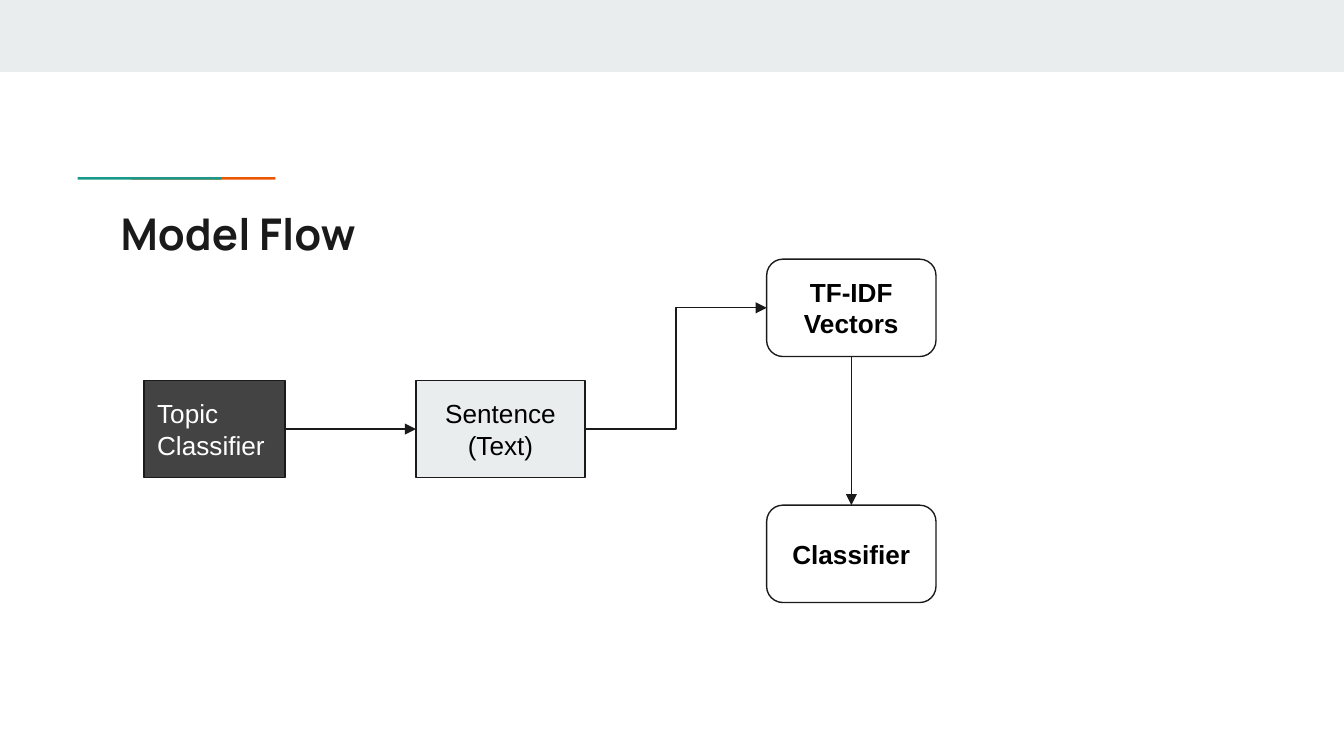
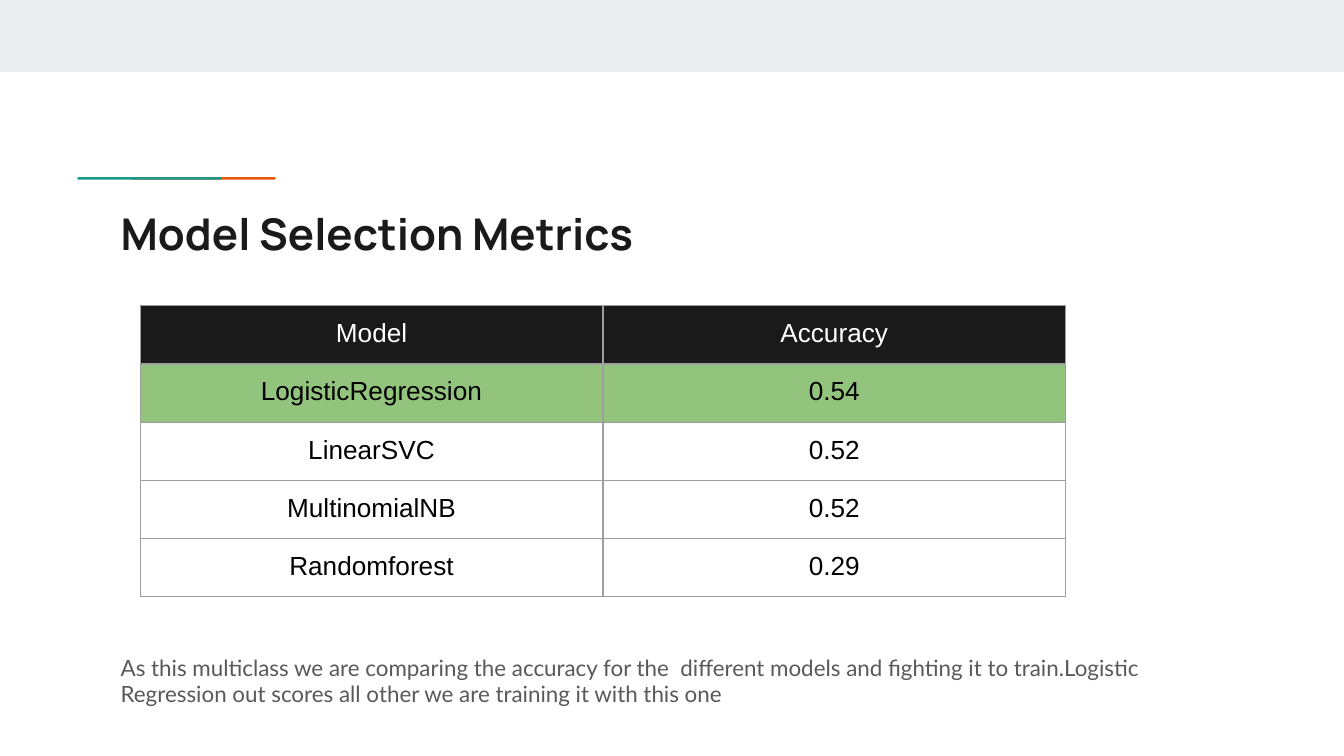
from lxml.etree import SubElement
from pptx import Presentation
from pptx.dml.color import RGBColor
from pptx.enum.shapes import MSO_CONNECTOR as Connector, MSO_SHAPE as Shape
from pptx.enum.text import MSO_ANCHOR as Anchor, MSO_AUTO_SIZE as AutoSize, PP_ALIGN as Align
from pptx.oxml import parse_xml
from pptx.oxml.ns import nsdecls, qn
from pptx.util import Cm, Pt

INK, PALE, WHITE, BLACK = "1A1A1A", "E9EDEE", "FFFFFF", "000000"
TEAL, ORANGE, GREEN = "1A9988", "EB5600", "93C47D"
CHARCOAL, GREY, RULE = "434343", "595959", "9E9E9E"
INSET = Cm(0.25)


def color(hex_text):
    return RGBColor.from_string(hex_text)


def write(frame, lines, size, font, ink, bold=False, align=Align.CENTER, anchor=Anchor.MIDDLE):
    """Fill a text frame with one formatted paragraph per line."""
    frame.word_wrap = True
    frame.auto_size = AutoSize.NONE
    frame.vertical_anchor = anchor
    frame.margin_left = frame.margin_right = frame.margin_top = frame.margin_bottom = INSET
    for index, line in enumerate(lines):
        paragraph = frame.add_paragraph() if index else frame.paragraphs[0]
        paragraph.alignment = align
        run = paragraph.add_run()
        run.text = line
        run.font.size = Pt(size)
        run.font.name = font
        run.font.bold = bold
        run.font.color.rgb = color(ink)


presentation = Presentation()
presentation.slide_width, presentation.slide_height = Cm(25.4), Cm(14.29)
layout = presentation.slide_layouts[1]

# Slides with their titles
slides = []
for title_text in ("Model Flow", "Model Selection Metrics"):
    slide = presentation.slides.add_slide(layout)
    title = slide.shapes.title
    title.left, title.top, title.width, title.height = Cm(2.03), Cm(3.66), Cm(21.36), Cm(1.5)
    write(title.text_frame, [title_text], 23.4, "Manrope", INK, True, Align.LEFT, Anchor.TOP)
    slides.append(slide)
flow_slide, metrics_slide = slides

# Top band and accent line, moved to the shared layout
accent = flow_slide.shapes.add_group_shape()
for parent, left, top, width, height, rotation, fill in (
    (flow_slide, 0, 0, 25.4, 1.36, 0, PALE),
    (accent, 3.15, 2.85, 0.05, 1.04, 270, ORANGE),
    (accent, 2.76, 2.85, 0.05, 1.04, 270, TEAL),
):
    strip = parent.shapes.add_shape(Shape.RECTANGLE, Cm(left), Cm(top), Cm(width), Cm(height))
    strip.rotation = rotation
    strip.shadow.inherit = False
    strip.fill.solid()
    strip.fill.fore_color.rgb = color(fill)
    strip.line.fill.background()
    if parent is flow_slide:
        layout.shapes.element.append(strip.element)
accent.width = Cm(1.15)  # stretches the upright strips into one long line
layout.shapes.element.append(accent.element)

# Model flow: boxes
unused_body = flow_slide.placeholders[1].element
unused_body.getparent().remove(unused_body)
boxes = []
for kind, left, top, width, fill, ink, bold, align, lines in (
    (Shape.RECTANGLE, 2.72, 7.19, 2.67, CHARCOAL, WHITE, False, Align.LEFT, ["Topic Classifier"]),
    (Shape.RECTANGLE, 7.86, 7.19, 3.2, PALE, BLACK, False, Align.CENTER, ["Sentence", "(Text)"]),
    (Shape.ROUNDED_RECTANGLE, 14.49, 4.9, 3.2, WHITE, BLACK, True, Align.CENTER, ["TF-IDF Vectors"]),
    (Shape.ROUNDED_RECTANGLE, 14.49, 9.55, 3.2, WHITE, BLACK, True, Align.CENTER, ["Classifier"]),
):
    box = flow_slide.shapes.add_shape(kind, Cm(left), Cm(top), Cm(width), Cm(1.84))
    box.shadow.inherit = False
    box.fill.solid()
    box.fill.fore_color.rgb = color(fill)
    box.line.color.rgb = color(INK)
    box.line.width = Pt(0.75)
    write(box.text_frame, lines, 14, "Arial", ink, bold, align)
    boxes.append(box)
topic, sentence, vectors, classifier = boxes

# Model flow: arrows
for kind, source, source_side, target, target_side in (
    (Connector.STRAIGHT, topic, 3, sentence, 1),
    (Connector.ELBOW, sentence, 3, vectors, 1),
    (Connector.STRAIGHT, vectors, 2, classifier, 0),
):
    arrow = flow_slide.shapes.add_connector(kind, 0, 0, 0, 0)
    arrow.begin_connect(source, source_side)
    arrow.end_connect(target, target_side)
    arrow.line.color.rgb = color(INK)
    arrow.line.width = Pt(0.75)
    properties = arrow.element.spPr
    SubElement(properties.find(qn("a:ln")), qn("a:tailEnd"), type="triangle")
    SubElement(properties, qn("a:effectLst"))

# Metrics: accuracy table
rows = (
    ("Model", "Accuracy"),
    ("LogisticRegression", "0.54"),
    ("LinearSVC", "0.52"),
    ("MultinomialNB", "0.52"),
    ("Randomforest", "0.29"),
)
row_fills = {0: INK, 1: GREEN}
table = metrics_slide.shapes.add_table(
    len(rows), 2, Cm(2.65), Cm(5.78), Cm(17.49), Cm(1.1 * len(rows))
).table
table.first_row = table.horz_banding = False
for row_index, row in enumerate(rows):
    for column_index, text in enumerate(row):
        cell = table.cell(row_index, column_index)
        cell.margin_left = cell.margin_right = cell.margin_top = cell.margin_bottom = INSET
        if row_index in row_fills:
            cell.fill.solid()
            cell.fill.fore_color.rgb = color(row_fills[row_index])
        else:
            cell.fill.background()
        paragraph = cell.text_frame.paragraphs[0]
        paragraph.alignment = Align.CENTER
        run = paragraph.add_run()
        run.text = text
        run.font.size = Pt(14)
        run.font.name = "Arial"
        run.font.color.rgb = color(BLACK if row_index else WHITE)
        cell_properties = cell._tc.get_or_add_tcPr()
        for position, side in enumerate(("lnL", "lnR", "lnT", "lnB")):
            cell_properties.insert(position, parse_xml(
                f'<a:{side} {nsdecls("a")} w="{Pt(0.75)}"><a:solidFill>'
                f'<a:srgbClr val="{RULE}"/></a:solidFill></a:{side}>'
            ))

# Metrics: conclusion
conclusion = metrics_slide.placeholders[1]
conclusion.left, conclusion.top = Cm(2.03), Cm(12.16)
conclusion.width, conclusion.height = Cm(21.36), Cm(1.5)
write(
    conclusion.text_frame,
    ["As this multiclass we are comparing the accuracy for the  different models and fighting it to "
     "train.Logistic Regression out scores all other we are training it with this one"],
    12, "Lato", GREY, align=Align.LEFT, anchor=Anchor.TOP,
)
paragraph = conclusion.text_frame.paragraphs[0]
paragraph.line_spacing = 0.95
paragraph.space_before, paragraph.space_after = Pt(0), Pt(12)
paragraph_properties = paragraph._p.get_or_add_pPr()
paragraph_properties.set("marL", "0")
paragraph_properties.set("indent", "0")
SubElement(paragraph_properties, qn("a:buNone"))

presentation.save("out.pptx")
